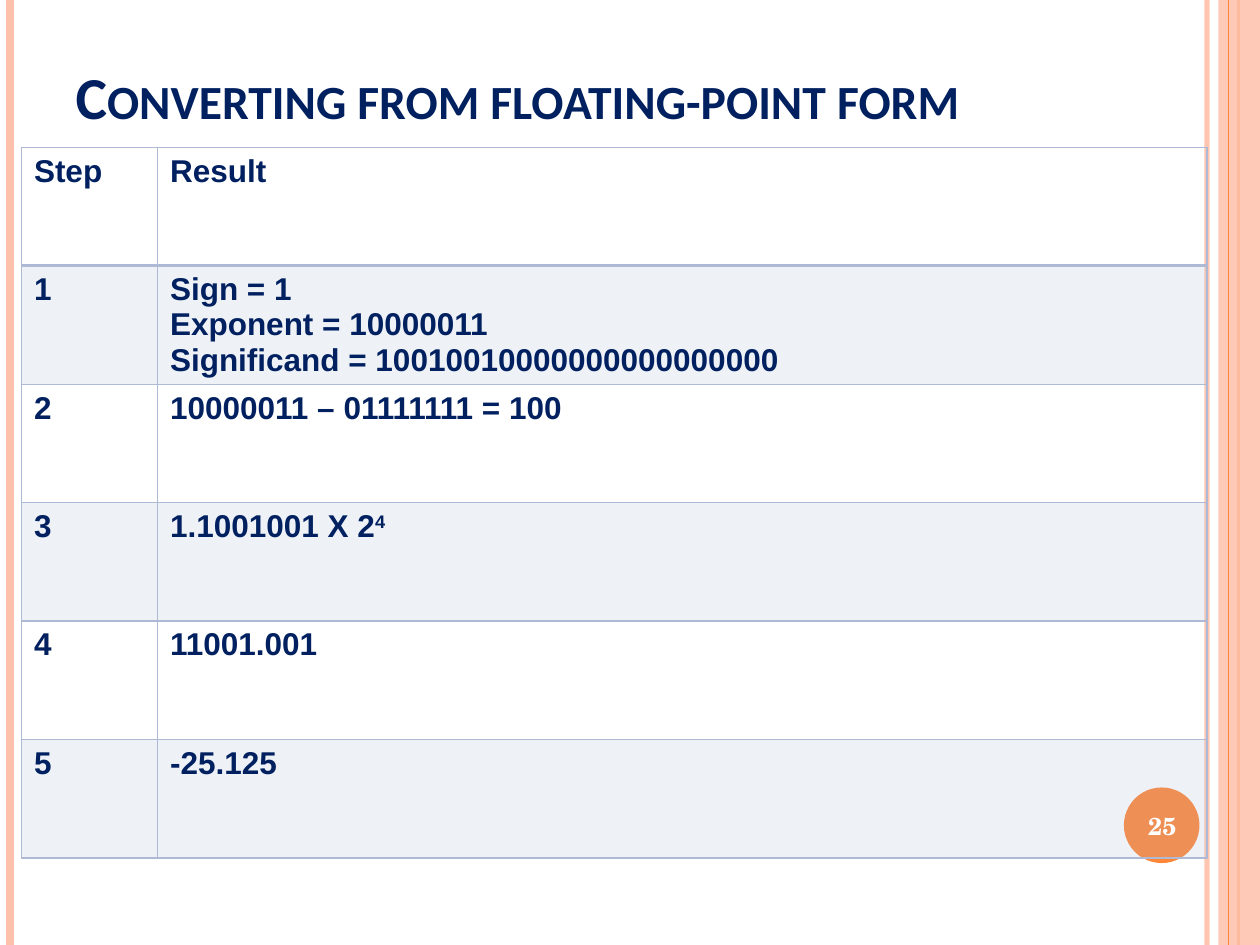
from dataclasses import dataclass

from lxml.etree import SubElement
from pptx import Presentation
from pptx.dml.color import RGBColor
from pptx.enum.shapes import MSO_CONNECTOR, MSO_SHAPE
from pptx.enum.text import MSO_ANCHOR, MSO_AUTO_SIZE, PP_ALIGN
from pptx.oxml import parse_xml
from pptx.oxml.ns import nsdecls, qn
from pptx.util import Inches, Pt


@dataclass(frozen=True)
class Theme:
    navy: str = "002060"
    orange: str = "FE8637"
    peach: str = "FEC2AC"
    grid: str = "AEBAD5"
    white: str = "FFFFFF"
    title_font: str = "Calibri"
    table_font: str = "Arial"
    number_font: str = "TeX Gyre Schola"
    title_size: int = 34
    table_size: int = 18
    number_size: int = 14


THEME = Theme()
SLIDE_WIDTH, SLIDE_HEIGHT = 10, 7.5
COLUMN_WIDTHS = (1.08, 8.33)
ROW_HEIGHT = 0.94

# Each result is a list of lines; a line is a list of (text, is superscript).
STEPS = [
    ("Step", [[("Result", False)]]),
    ("1", [
        [("Sign = 1", False)],
        [("Exponent = 10000011", False)],
        [("Significand = 10010010000000000000000", False)],
    ]),
    ("2", [[("10000011 – 01111111 = 100", False)]]),
    ("3", [[("1.1001001 X 2", False), ("4", True)]]),
    ("4", [[("11001.001", False)]]),
    ("5", [[("-25.125", False)]]),
]


def set_alpha(element, percent):
    """Make every colour inside the element translucent."""
    for color in element.iter(qn("a:srgbClr")):
        SubElement(color, qn("a:alpha")).set("val", str(percent * 1000))


def add_run(paragraph, text, font_name, size, color):
    run = paragraph.add_run()
    run.text = text
    run.font.name = font_name
    run.font.size = Pt(size)
    run.font.bold = True
    run.font.color.rgb = RGBColor.from_string(color)
    return run


def add_rail(slide, x, color, width, alpha=100):
    """Draw a vertical line over the full height of the slide."""
    rail = slide.shapes.add_connector(
        MSO_CONNECTOR.STRAIGHT, Inches(x), 0, Inches(x), Inches(SLIDE_HEIGHT))
    rail.line.color.rgb = RGBColor.from_string(color)
    rail.line.width = Pt(width)
    properties = rail._element.spPr
    if alpha < 100:
        set_alpha(properties, alpha)
    SubElement(properties, qn("a:effectLst"))


def add_plain_shape(slide, kind, left, top, width, height, color):
    shape = slide.shapes.add_shape(
        kind, Inches(left), Inches(top), Inches(width), Inches(height))
    shape.shadow.inherit = False
    shape.fill.solid()
    shape.fill.fore_color.rgb = RGBColor.from_string(color)
    shape.line.fill.background()
    return shape


def add_decoration(slide):
    add_rail(slide, 9.58, THEME.peach, 3, alpha=93)
    add_rail(slide, 0.08, THEME.peach, 4.5)
    add_rail(slide, 9.83, THEME.orange, 1.5)
    band = add_plain_shape(
        slide, MSO_SHAPE.RECTANGLE, 9.67, 0, 0.33, SLIDE_HEIGHT, THEME.peach)
    set_alpha(band._element.spPr, 87)
    add_rail(slide, 9.75, THEME.orange, 0.75)
    add_plain_shape(slide, MSO_SHAPE.OVAL, 8.92, 6.25, 0.6, 0.6, THEME.orange)


def set_title(slide, text):
    title = slide.shapes.title
    title.left, title.top = Inches(0.5), Inches(0.17)
    title.width, title.height = Inches(8.83), Inches(0.92)
    frame = title.text_frame
    frame.auto_size = MSO_AUTO_SIZE.NONE
    frame.vertical_anchor = MSO_ANCHOR.BOTTOM
    paragraph = frame.paragraphs[0]
    paragraph.alignment = PP_ALIGN.LEFT
    run = add_run(paragraph, text, THEME.title_font, THEME.title_size, THEME.navy)
    run._r.get_or_add_rPr().set("cap", "small")


def set_borders(cell, top, bottom):
    """Border the cell, with the top and bottom widths in points."""
    properties = cell._tc.get_or_add_tcPr()
    widths = {"lnL": 1, "lnR": 1, "lnT": top, "lnB": bottom}
    for position, (side, width) in enumerate(widths.items()):
        properties.insert(position, parse_xml(
            f'<a:{side} {nsdecls("a")} w="{Pt(width)}"><a:solidFill>'
            f'<a:srgbClr val="{THEME.grid}"/></a:solidFill></a:{side}>'))


def fill_cell(cell, lines, shaded):
    frame = cell.text_frame
    for index, line in enumerate(lines):
        paragraph = frame.add_paragraph() if index else frame.paragraphs[0]
        for text, superscript in line:
            run = add_run(
                paragraph, text, THEME.table_font, THEME.table_size, THEME.navy)
            if superscript:
                run._r.get_or_add_rPr().set("baseline", "30000")
    if shaded:
        cell.fill.solid()
        cell.fill.fore_color.rgb = RGBColor.from_string(THEME.grid)
        set_alpha(cell._tc.get_or_add_tcPr(), 20)
    else:
        cell.fill.background()


def add_steps_table(slide):
    table = slide.shapes.add_table(
        len(STEPS), len(COLUMN_WIDTHS), Inches(0.17), Inches(1.17),
        Inches(sum(COLUMN_WIDTHS)), Inches(ROW_HEIGHT * len(STEPS))).table
    table.first_row = table.horz_banding = False
    for column, width in zip(table.columns, COLUMN_WIDTHS):
        column.width = Inches(width)
    for index, (row, (step, result)) in enumerate(zip(table.rows, STEPS)):
        row.height = Inches(ROW_HEIGHT)
        for cell, lines in zip(row.cells, ([[(step, False)]], result)):
            fill_cell(cell, lines, shaded=index % 2 == 1)
            set_borders(cell, top=2 if index == 1 else 1,
                        bottom=2 if index == 0 else 1)


def add_slide_number(slide, number):
    box = slide.shapes.add_textbox(
        Inches(8.89), Inches(6.27), Inches(0.67), Inches(0.57))
    frame = box.text_frame
    frame.word_wrap = True
    frame.vertical_anchor = MSO_ANCHOR.MIDDLE
    paragraph = frame.paragraphs[0]
    paragraph.alignment = PP_ALIGN.CENTER
    add_run(paragraph, number, THEME.number_font, THEME.number_size, THEME.white)


def main():
    presentation = Presentation()
    presentation.slide_width = Inches(SLIDE_WIDTH)
    presentation.slide_height = Inches(SLIDE_HEIGHT)
    slide = presentation.slides.add_slide(presentation.slide_layouts[5])
    add_decoration(slide)
    set_title(slide, "Converting from floating-point form")
    add_steps_table(slide)
    add_slide_number(slide, "25")
    presentation.save("out.pptx")


if __name__ == "__main__":
    main()
